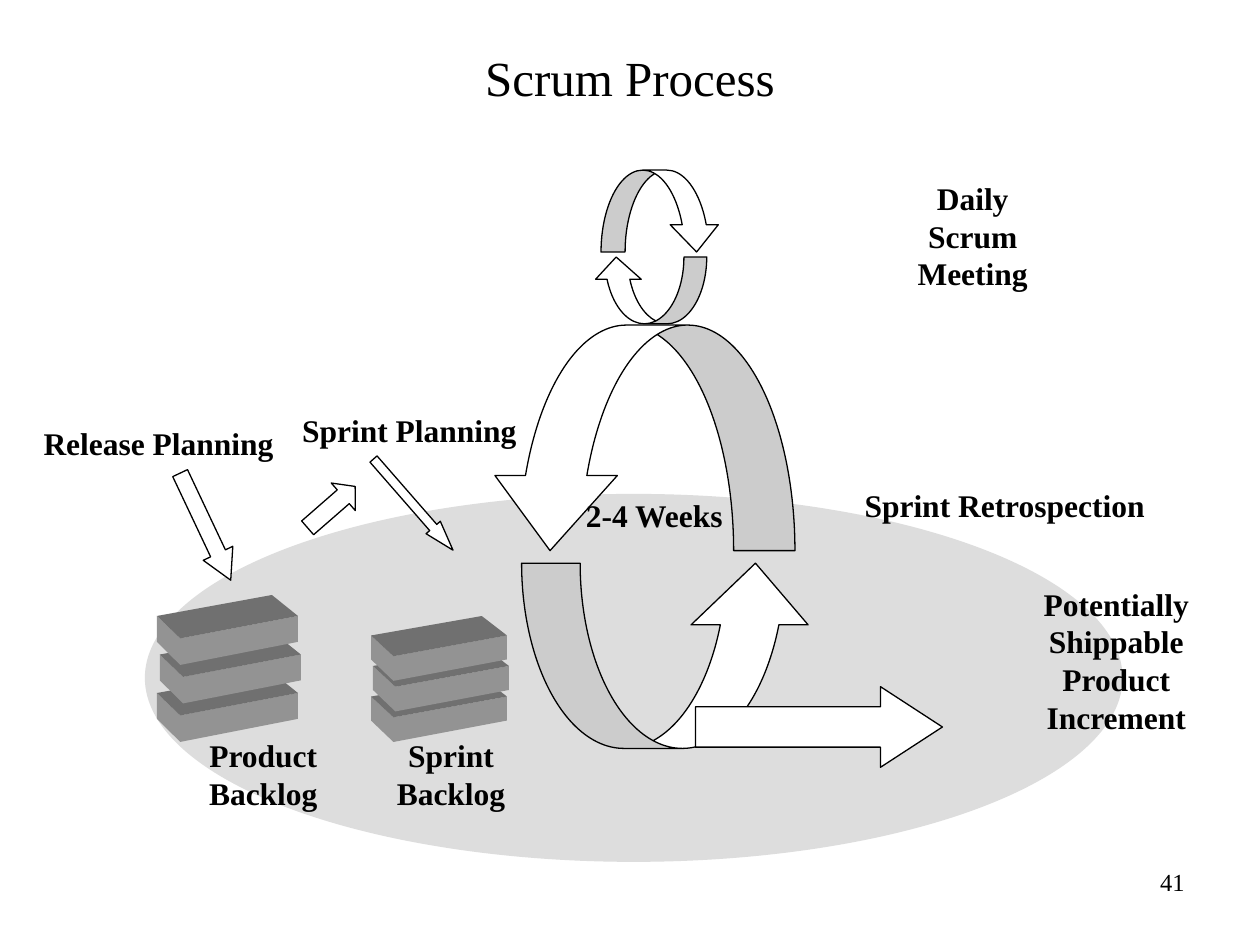
"""Build the Scrum Process slide."""
from pptx import Presentation
from pptx.dml.color import RGBColor
from pptx.enum.shapes import MSO_SHAPE
from pptx.enum.text import MSO_ANCHOR, PP_ALIGN
from pptx.util import Pt

THEME = {
    "font": "Times New Roman",
    "text": RGBColor(0x00, 0x00, 0x00),
    "line": RGBColor(0x00, 0x00, 0x00),
    "arrow": RGBColor(0xFF, 0xFF, 0xFF),
    "ellipse": RGBColor(0xDD, 0xDD, 0xDD),
    "slab_side": RGBColor(0x93, 0x93, 0x93),
    "slab_top": RGBColor(0x70, 0x70, 0x70),
    "title_size": 28,
    "label_size": 18,
    "number_size": 14,
    "line_width": 0.75,
}
TITLE = ("Scrum Process", (36, 21.6, 648, 44.64))
PAGE_NUMBER = ("41", (516.24, 491.76, 167.76, 37.44))
ELLIPSE_BOX = (82.8, 282.24, 558.72, 210.24)

DOWN, UP, RIGHT = (MSO_SHAPE.CURVED_DOWN_ARROW, MSO_SHAPE.CURVED_UP_ARROW,
                   MSO_SHAPE.RIGHT_ARROW)
# preset, box, adjustments, rotation, flipped
ARROWS = [
    (DOWN, (279.36, 185.76, 174.96, 128.88), (0.272, 0.543, 0.333), 0, True),
    (UP, (298.08, 321.84, 167.04, 105.84), (0.316, 0.632, 0.333), 0, False),
    (RIGHT, (201.6, 282.96, 69.12, 10.8), (0.5, 1.592), 48.9, False),
    (RIGHT, (171.36, 279.36, 36, 20.88), (0.5, 0.43), 318.9, False),
    (DOWN, (343.44, 97.2, 68.4, 46.8), (0.294, 0.588, 0.333), 0, False),
    (UP, (339.12, 146.88, 64.8, 38.16), (0.342, 0.683, 0.333), 0, True),
    (RIGHT, (397.44, 392.4, 141.12, 46.08), (0.5, 0.768), 0, False),
    (RIGHT, (83.52, 291.6, 67.68, 18.72), (0.5, 0.909), 64.7, False),
]
LABELS = [
    ("2-4 Weeks ", (312.48, 280.08, 127.44, 65.52), 4),
    ("Sprint Backlog", (209.52, 416.88, 96.48, 46.08), 4),
    ("Sprint Planning ", (161.28, 231.12, 149.76, 36), 4),
    ("Daily Scrum Meeting", (500.4, 98.64, 110.88, 83.52), 12),
    ("Sprint Retrospection ", (473.76, 274.32, 205.2, 31.68), 4),
    ("Potentially Shippable Product Increment", (588.96, 330.48, 97.92, 123.12), 4),
    ("Product Backlog", (94.32, 416.88, 112.32, 51.84), 4),
    ("Release Planning ", (13.68, 239.04, 158.4, 33.12), 4),
]
# left, top of the bottom slab, width, height, rise per slab, shift of the middle slab
STACKS = [
    (89.7, 384, 80.6, 40, 22, 1.6),
    (212, 386.9, 77.7, 37.1, 17.45, 1.1),
]
SLAB_SIDE = [(0, 0.3), (0.165, 0.62), (1, 0.3), (1, 0.67), (0.165, 1), (0, 0.67)]
SLAB_TOP = [(0, 0.3), (0.815, 0), (1, 0.3), (0.165, 0.62)]


def place(shape, box):
    shape.left, shape.top, shape.width, shape.height = (Pt(value) for value in box)


def write(shape, text, size, alignment, bold=False):
    paragraph = shape.text_frame.paragraphs[0]
    paragraph.alignment = alignment
    run = paragraph.add_run()
    run.text = text
    run.font.name = THEME["font"]
    run.font.size = Pt(size)
    run.font.bold = bold
    run.font.color.rgb = THEME["text"]


def paint(shape, fill, outlined=False):
    shape.shadow.inherit = False
    shape.fill.solid()
    shape.fill.fore_color.rgb = fill
    if outlined:
        shape.line.color.rgb = THEME["line"]
        shape.line.width = Pt(THEME["line_width"])
    else:
        shape.line.fill.background()


def add_label(slide, text, box, size, alignment, bold=False, inset=7.2):
    label = slide.shapes.add_textbox(*(Pt(value) for value in box))
    frame = label.text_frame
    frame.word_wrap = True
    frame.margin_left = frame.margin_right = Pt(inset)
    write(label, text, size, alignment, bold)


def add_arrow(slide, preset, box, adjustments, rotation, flipped):
    arrow = slide.shapes.add_shape(preset, *(Pt(value) for value in box))
    for index, value in enumerate(adjustments):
        arrow.adjustments[index] = value
    arrow.rotation = rotation
    if flipped:
        arrow.element.spPr.xfrm.set("flipH", "1")
    paint(arrow, THEME["arrow"], outlined=True)


def add_stack(slide, left, top, width, height, rise, shift):
    for level in range(3):
        x = left + shift * (level % 2)
        y = top - rise * level
        for outline, fill in ((SLAB_SIDE, "slab_side"), (SLAB_TOP, "slab_top")):
            points = [(Pt(x + width * across), Pt(y + height * down))
                      for across, down in outline]
            builder = slide.shapes.build_freeform(*points[0])
            builder.add_line_segments(points[1:], close=True)
            paint(builder.convert_to_shape(), THEME[fill])


def main():
    presentation = Presentation()
    presentation.slide_width, presentation.slide_height = Pt(720), Pt(540)
    slide = presentation.slides.add_slide(presentation.slide_layouts[5])

    text, box = TITLE
    title = slide.shapes.title
    place(title, box)
    title.text_frame.vertical_anchor = MSO_ANCHOR.MIDDLE
    write(title, text, THEME["title_size"], PP_ALIGN.CENTER)

    text, box = PAGE_NUMBER
    add_label(slide, text, box, THEME["number_size"], PP_ALIGN.RIGHT)

    ellipse = slide.shapes.add_shape(MSO_SHAPE.OVAL, *(Pt(value) for value in ELLIPSE_BOX))
    paint(ellipse, THEME["ellipse"])
    for arrow in ARROWS:
        add_arrow(slide, *arrow)
    for stack in STACKS:
        add_stack(slide, *stack)
    for text, box, inset in LABELS:
        add_label(slide, text, box, THEME["label_size"], PP_ALIGN.CENTER, True, inset)

    presentation.save("out.pptx")


if __name__ == "__main__":
    main()
